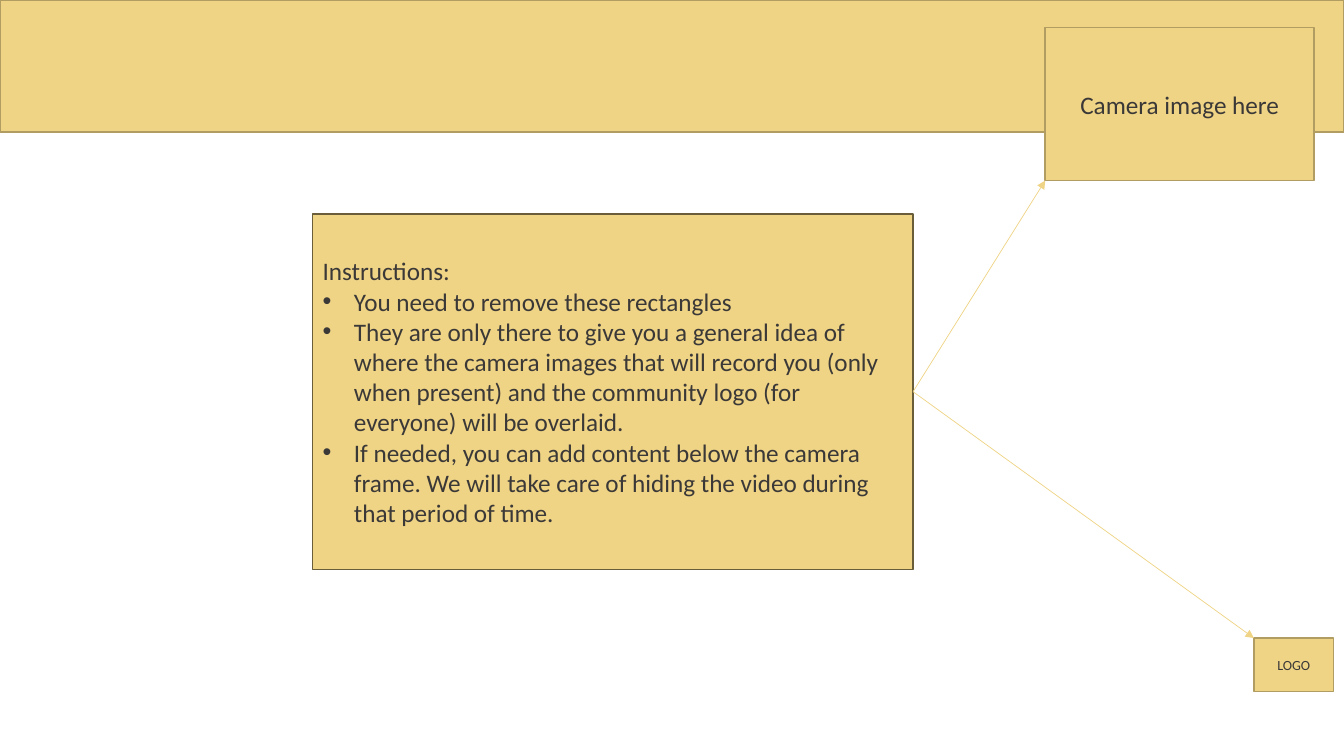
from dataclasses import dataclass

from pptx import Presentation
from pptx.dml.color import RGBColor
from pptx.enum.shapes import MSO_CONNECTOR, MSO_SHAPE
from pptx.enum.text import MSO_ANCHOR, PP_ALIGN
from pptx.oxml.ns import qn
from pptx.shapes.autoshape import Shape
from pptx.slide import Slide
from pptx.util import Cm, Pt

RECTANGLE = MSO_SHAPE.RECTANGLE
STRAIGHT = MSO_CONNECTOR.STRAIGHT
MIDDLE = MSO_ANCHOR.MIDDLE
LEFT, CENTER = PP_ALIGN.LEFT, PP_ALIGN.CENTER
RIGHT_SIDE = 3
BLANK_LAYOUT = 6

FONT = "Calibri"
COLORS = {
    "sand": "EFD485",
    "border": "B19D62",
    "dark_border": "695D3A",
    "text": "3B3838",
}


@dataclass(frozen=True)
class Line:
    text: str
    bullet: bool = False


@dataclass(frozen=True)
class Panel:
    left: float
    top: float
    width: float
    height: float
    lines: tuple[Line, ...] = ()
    size: int = 18
    align: PP_ALIGN = CENTER
    border: str = "border"


BANNER = Panel(0, 0, 33.87, 3.33)
CAMERA = Panel(26.34, 0.69, 6.78, 3.86, (Line("Camera image here"),))
LOGO = Panel(31.6, 16.08, 2.01, 1.35, (Line("LOGO"),), size=10)
INSTRUCTIONS = Panel(
    7.88, 5.39, 15.13, 8.96,
    (
        Line("Instructions:"),
        Line("You need to remove these rectangles", bullet=True),
        Line("They are only there to give you a general idea of where the camera "
             "images that will record you (only when present) and the community "
             "logo (for everyone) will be overlaid.", bullet=True),
        Line("If needed, you can add content below the camera frame. We will take "
             "care of hiding the video during that period of time.", bullet=True),
    ),
    align=LEFT, border="dark_border",
)


def color(name: str) -> RGBColor:
    return RGBColor.from_string(COLORS[name])


def add_bullet(paragraph) -> None:
    properties = paragraph._p.get_or_add_pPr()
    indent = Cm(0.79)
    properties.set("marL", str(indent))
    properties.set("indent", str(-indent))
    font = properties.makeelement(qn("a:buFont"), {"typeface": "Arial"})
    character = properties.makeelement(qn("a:buChar"), {"char": "•"})
    properties.extend([font, character])


def add_panel(slide: Slide, panel: Panel) -> Shape:
    box = slide.shapes.add_shape(
        RECTANGLE, Cm(panel.left), Cm(panel.top), Cm(panel.width), Cm(panel.height))
    box.shadow.inherit = False
    box.fill.solid()
    box.fill.fore_color.rgb = color("sand")
    box.line.color.rgb = color(panel.border)
    box.line.width = Pt(1)

    frame = box.text_frame
    frame.word_wrap = True
    frame.vertical_anchor = MIDDLE
    for number, line in enumerate(panel.lines):
        paragraph = frame.add_paragraph() if number else frame.paragraphs[0]
        paragraph.alignment = panel.align
        if line.bullet:
            add_bullet(paragraph)
        run = paragraph.add_run()
        run.text = line.text
        run.font.name = FONT
        run.font.size = Pt(panel.size)
        run.font.color.rgb = color("text")
    return box


def add_arrow(slide: Slide, source: Shape, end_x: int, end_y: int) -> None:
    arrow = slide.shapes.add_connector(STRAIGHT, 0, 0, end_x, end_y)
    arrow.begin_connect(source, RIGHT_SIDE)
    arrow.line.color.rgb = color("sand")
    arrow.line.width = Pt(0.5)
    properties = arrow.element.spPr
    outline = properties.find(qn("a:ln"))
    outline.append(outline.makeelement(qn("a:tailEnd"), {"type": "triangle"}))
    properties.append(properties.makeelement(qn("a:effectLst"), {}))


def main() -> None:
    deck = Presentation()
    deck.slide_width, deck.slide_height = Cm(33.87), Cm(19.05)
    slide = deck.slides.add_slide(deck.slide_layouts[BLANK_LAYOUT])

    # Header band and placeholder frames
    add_panel(slide, BANNER)
    camera = add_panel(slide, CAMERA)
    logo = add_panel(slide, LOGO)
    instructions = add_panel(slide, INSTRUCTIONS)

    # Arrows to the near corners of the two frames
    add_arrow(slide, instructions, camera.left, camera.top + camera.height)
    add_arrow(slide, instructions, logo.left, logo.top)

    deck.save("out.pptx")


if __name__ == "__main__":
    main()
